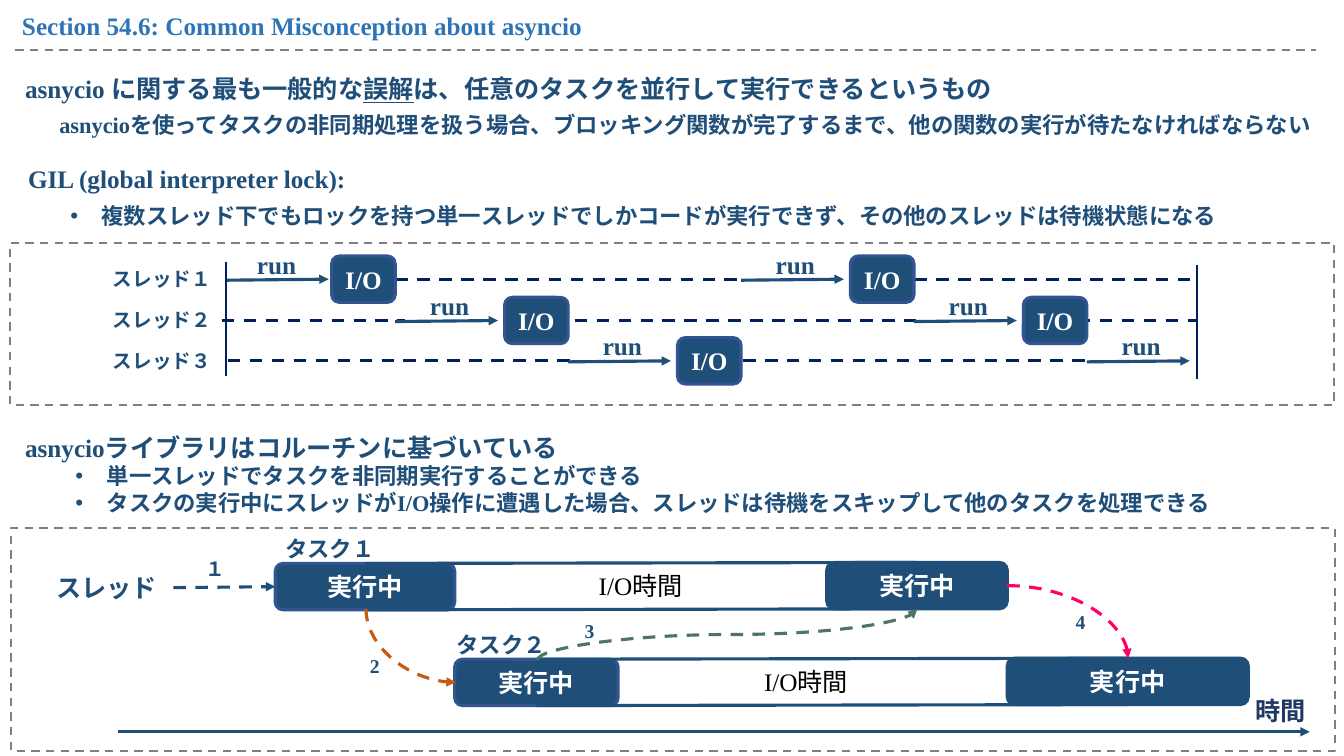
from pptx import Presentation
from pptx.dml.color import RGBColor
from pptx.enum.dml import MSO_LINE
from pptx.enum.shapes import MSO_CONNECTOR, MSO_SHAPE
from pptx.enum.text import MSO_ANCHOR, MSO_AUTO_SIZE, PP_ALIGN
from pptx.oxml.ns import qn
from pptx.util import Inches, Pt
from lxml.etree import SubElement

BLUE = RGBColor(0x1F, 0x4E, 0x79)
EDGE = RGBColor(0x32, 0x54, 0x91)
NAVY = RGBColor(0x00, 0x20, 0x60)
DUSK = RGBColor(0x20, 0x38, 0x64)
SKY = RGBColor(0x2E, 0x75, 0xB6)
GRAY = RGBColor(0x80, 0x80, 0x80)
RUST = RGBColor(0xC5, 0x5A, 0x11)
SAGE = RGBColor(0x4F, 0x73, 0x67)
PINK = RGBColor(0xFF, 0x00, 0x66)
WHITE = RGBColor(0xFF, 0xFF, 0xFF)
BLACK = RGBColor(0, 0, 0)
FONT = "Times New Roman"


def write(frame, words, size=18, color=BLUE, bold=True, align=None, dent=None, level=0):
    para = frame.paragraphs[0]
    if para.runs:
        para = frame.add_paragraph()
    para.level = level
    if dent:
        props = para._p.get_or_add_pPr()
        props.set("marL", str(Inches(dent)))
        props.set("indent", str(Inches(-0.31)))
        SubElement(props, qn("a:buFont")).set("typeface", "Arial")
        SubElement(props, qn("a:buChar")).set("char", "•")
    if align:
        para.alignment = align
    for i, part in enumerate(words.split("_")):
        run = para.add_run()
        run.text = part
        font = run.font
        font.name, font.size, font.bold = FONT, Pt(size), bold
        font.color.rgb = color
        if i % 2:
            font.underline = True


def label(slide, x, y, w, h, words, **form):
    frame = slide.shapes.add_textbox(Inches(x), Inches(y), Inches(w), Inches(h)).text_frame
    frame.word_wrap = True
    frame.auto_size = MSO_AUTO_SIZE.SHAPE_TO_FIT_TEXT
    write(frame, words, **form)
    return frame


def stroke(line, color, width, dash):
    line.color.rgb = color
    line.width = Pt(width)
    if dash:
        line.dash_style = MSO_LINE.DASH


def link(slide, x1, y1, x2, y2, color=BLUE, width=2.25, dash=False, arrow=False,
         kind=MSO_CONNECTOR.STRAIGHT):
    wire = slide.shapes.add_connector(kind, Inches(x1), Inches(y1), Inches(x2), Inches(y2))
    stroke(wire.line, color, width, dash)
    props = wire._element.spPr
    if arrow:
        SubElement(props.find(qn("a:ln")), qn("a:tailEnd")).set("type", "triangle")
    SubElement(props, qn("a:effectLst"))
    return wire


def curve(slide, x, y, w, h, color, preset, turn=0, flips=()):
    wire = link(slide, x, y, x + w, y + h, color, dash=True, arrow=True,
                kind=MSO_CONNECTOR.CURVE)
    props = wire._element.spPr
    props.find(qn("a:prstGeom")).set("prst", preset)
    frame = props.find(qn("a:xfrm"))
    frame.set("rot", str(turn * 60000))
    for flip in flips:
        frame.set(flip, "1")


def block(slide, x, y, w, words, edge=EDGE):
    shape = slide.shapes.add_shape(MSO_SHAPE.ROUNDED_RECTANGLE, Inches(x), Inches(y),
                                   Inches(w), Inches(0.46))
    shape.shadow.inherit = False
    shape.fill.solid()
    shape.fill.fore_color.rgb = BLUE
    stroke(shape.line, edge, 2.25, False)
    shape.text_frame.vertical_anchor = MSO_ANCHOR.MIDDLE
    write(shape.text_frame, words, color=WHITE, align=PP_ALIGN.CENTER)
    return shape


def panel(slide, x, y, w, h):
    shape = slide.shapes.add_shape(MSO_SHAPE.RECTANGLE, Inches(x), Inches(y),
                                   Inches(w), Inches(h))
    shape.shadow.inherit = False
    shape.fill.background()
    stroke(shape.line, GRAY, 1.5, True)


def head(slide, x, y, w):
    link(slide, x + 0.03, y + 0.45, x + w, y + 0.45, GRAY, 1.5, dash=True)
    label(slide, x, y, 5.8, 0.4, "Section 54.6: Common Misconception about asyncio", color=SKY)


def intro(slide, x, y, w):
    label(slide, x, y, 10.31, 0.4,
          "asnycio に関する最も一般的な_誤解_は、任意のタスクを並行して実行できるというもの")
    label(slide, x + 0.34, y + 0.37, w - 0.34, 0.37,
          "asnycioを使ってタスクの非同期処理を扱う場合、ブロッキング関数が完了するまで、"
          "他の関数の実行が待たなければならない", size=16)
    label(slide, x + 0.03, y + 0.89, 6.6, 0.4, "GIL (global interpreter lock):")
    label(slide, x + 0.45, y + 1.28, 11.78, 0.37,
          "複数スレッド下でもロックを持つ単一スレッドでしかコードが実行できず、"
          "その他のスレッドは待機状態になる", size=16, dent=0.31)


def threads(slide, x, y, w, h):
    panel(slide, x, y, w, h)
    rows = [y + 0.36, y + 0.77, y + 1.17]
    for mid, digit in zip(rows, "１２３"):
        label(slide, x + 0.92, mid - 0.17, 1.32, 0.34, "スレッド" + digit, size=14)
    wall = x + 2.14
    waits = [(0, 3.82, 7.28), (0, 8.97, 11.77), (1, 2.1, 3.92), (1, 5.6, 9.06),
             (1, 10.59, 11.78), (2, 2.16, 5.62), (2, 7.27, 10.73)]
    wires = [link(slide, x + a, rows[row], x + b, rows[row], NAVY, dash=True)
             for row, a, b in waits]
    for i in range(6):
        mid = rows[i % 3]
        left = x + 3.19 + 1.715 * i
        start = max(wall, left - 1.085)
        link(slide, start, mid + 0.01, start + 1.02, mid, arrow=True)
        label(slide, left - 0.84, mid - 0.35, 0.68, 0.4, "run")
        if i < 5:
            box = block(slide, left, mid - 0.23, 0.63, "I/O")
            if i == 0:
                wires[0].begin_connect(box, 3)
    for side, top in ((wall, y + 0.19), (x + 11.77, y + 0.22)):
        link(slide, side, top, side, top + 1.13, NAVY, 1.5)


def basis(slide, x, y, w):
    frame = label(slide, x, y, w, 0.94, "asnycioライブラリはコルーチンに基づいている")
    for words in ("単一スレッドでタスクを非同期実行することができる",
                  "タスクの実行中にスレッドがI/O操作に遭遇した場合、"
                  "スレッドは待機をスキップして他のタスクを処理できる"):
        write(frame, words, size=16, dent=0.81, level=1)


def task(slide, x, y, w1, gap, w2, pause):
    first = block(slide, x, y, w1, "実行中")
    last = block(slide, x + w1 + gap, y - 0.01, w2, "実行中", BLUE)
    for side in (0, 2):
        edge = link(slide, x, y, x + 1, y)
        edge.begin_connect(first, side)
        edge.end_connect(last, side)
    label(slide, pause, y + 0.02, 1.54, 0.4, "I/O時間", color=BLACK, bold=False)
    return first


def loop(slide, x, y, w, h):
    panel(slide, x, y, w, h)
    first = task(slide, x + 2.62, y + 0.35, 1.78, 3.69, 1.79, x + 5.73)
    task(slide, x + 4.4, y + 1.3, 1.62, 3.86, 2.39, x + 7.37)
    label(slide, x + 0.35, y + 0.39, 1.26, 0.4, "スレッド")
    entry = link(slide, x + 1.61, y + 0.59, x + 2.62, y + 0.58, dash=True, arrow=True)
    entry.end_connect(first, 1)
    curve(slide, x + 3.6, y + 0.72, 0.73, 0.89, RUST, "curvedConnector2", 270, ["flipH"])
    curve(slide, x + 6.85, y - 0.83, 0.51, 3.77, SAGE, "curvedConnector3", 90,
          ["flipH", "flipV"])
    curve(slide, x + 9.88, y + 0.57, 1.2, 0.72, PINK, "curvedConnector2")
    for dx, dy, digit in ((1.83, 0.24, "１"), (3.46, 1.2, "2"), (5.59, 0.85, "3"),
                          (10.46, 0.76, "4")):
        label(slide, x + dx, y + dy, 0.44, 0.34, digit, size=14)
    label(slide, x + 2.62, y + 0.02, 1.26, 0.37, "タスク１", size=16)
    label(slide, x + 4.32, y + 0.97, 1.16, 0.37, "タスク２", size=16)
    link(slide, x + 1.06, y + 2.02, x + 12.88, y + 2.02, arrow=True)
    label(slide, x + 12.24, y + 1.61, 0.71, 0.4, "時間", color=DUSK)


def main():
    deck = Presentation()
    deck.slide_width, deck.slide_height = Inches(13.33), Inches(7.5)
    slide = deck.slides.add_slide(deck.slide_layouts[6])
    head(slide, 0.12, 0.05, 12.93)
    intro(slide, 0.15, 0.68, 12.99)
    threads(slide, 0.1, 2.41, 13.13, 1.61)
    basis(slide, 0.15, 4.24, 12.31)
    loop(slide, 0.11, 5.24, 13.13, 2.21)
    deck.save("out.pptx")


if __name__ == "__main__":
    main()
